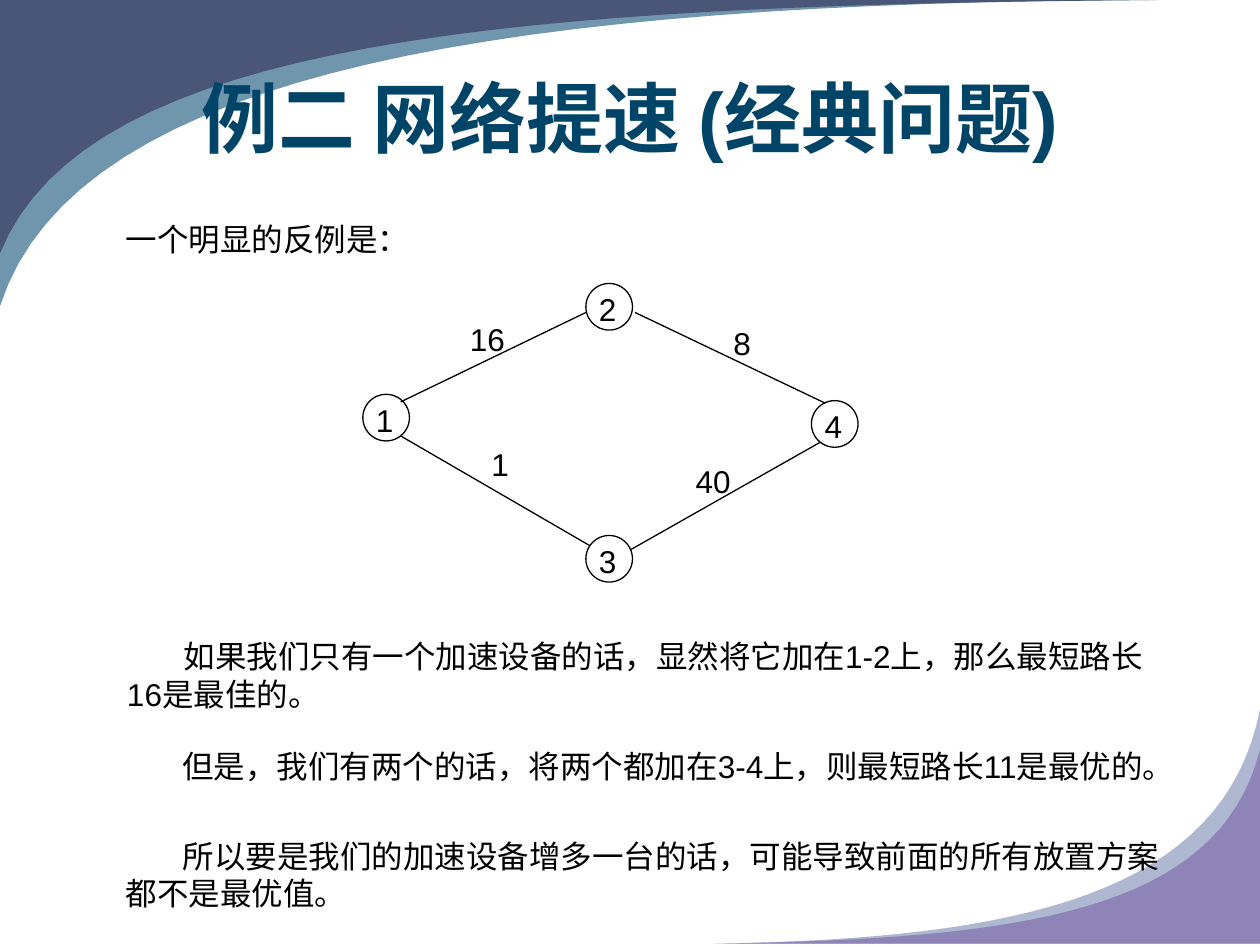
from lxml import etree
from pptx import Presentation
from pptx.dml.color import RGBColor
from pptx.enum import shapes, text
from pptx.oxml.ns import qn
from pptx.util import Inches, Pt

THEME = {
    "font": "Arial", "title_size": 44, "body_size": 18,
    "title": "004568", "ink": "000000", "paper": "FFFFFF",
    "teal": "7096AE", "navy": "495677", "mist": "AEB8D1", "violet": "8E84B7",
}

# Corner sweeps: colour, four Bezier control points, slide corner that closes the shape
SWEEPS = [
    ("teal", [(0, 2.43), (0.61, 0.53), (4.12, 0.02), (9.18, 0)], (0, 0)),
    ("navy", [(0, 2.01), (0.69, 0.3), (4.09, 0.04), (9.18, 0)], (0, 0)),
    ("mist", [(10, 5.63), (9.71, 7.11), (8.08, 7.45), (5.68, 7.49)], (10, 7.49)),
    ("violet", [(10, 5.95), (9.67, 7.26), (8.07, 7.45), (5.68, 7.49)], (10, 7.49)),
]
TITLE = "例二 网络提速 (经典问题)"
# Text, box, first-line indent
PARAGRAPHS = [
    ("一个明显的反例是：", (0.9, 1.7, 2.52, 0.4), 0),
    ("如果我们只有一个加速设备的话，显然将它加在1-2上，那么最短路长16是最佳的。",
     (0.91, 5.01, 8.27, 0.7), 0.45),
    ("但是，我们有两个的话，将两个都加在3-4上，则最短路长11是最优的。",
     (0.9, 5.88, 8.27, 0.7), 0.45),
    ("所以要是我们的加速设备增多一台的话，可能导致前面的所有放置方案都不是最优值。",
     (0.9, 6.59, 8.45, 0.7), 0.45),
]
NODE_SIZE = 0.37
NODES = [("2", 4.65, 2.25), ("4", 6.44, 3.18), ("3", 4.65, 4.25), ("1", 2.88, 3.13)]
WEIGHTS = [
    ("40", (5.52, 3.67, 0.78, 0.36)),
    ("8", (5.82, 2.57, 0.69, 0.4)),
    ("16", (3.73, 2.54, 0.66, 0.39)),
    ("1", (3.9, 3.53, 0.66, 0.41)),
]
EDGES = [
    (3.18, 3.19, 4.65, 2.48),
    (3.18, 3.46, 4.68, 4.33),
    (5.04, 2.48, 6.55, 3.2),
    (5.01, 4.36, 6.51, 3.51),
]


def color(name):
    return RGBColor.from_string(THEME[name])


def inches(values):
    return [Inches(v) for v in values]


def bezier(points, steps=32):
    """Points along a cubic Bezier curve."""
    for i in range(steps + 1):
        t = i / steps
        w = ((1 - t) ** 3, 3 * t * (1 - t) ** 2, 3 * t * t * (1 - t), t ** 3)
        yield tuple(sum(k * p[axis] for k, p in zip(w, points)) for axis in (0, 1))


def write(sp, content, insets, size="body_size", ink="ink", bold=False,
          align=text.PP_ALIGN.LEFT, anchor=text.MSO_ANCHOR.TOP, indent=0):
    tf = sp.text_frame
    tf.word_wrap = True
    tf.vertical_anchor = anchor
    tf.margin_left = tf.margin_right = Inches(insets[0])
    tf.margin_top = tf.margin_bottom = Inches(insets[1])
    p = tf.paragraphs[0]
    p.text = content
    p.alignment = align
    p.font.name = THEME["font"]
    p.font.size = Pt(THEME[size])
    p.font.bold = bold
    p.font.color.rgb = color(ink)
    if indent:
        p._p.get_or_add_pPr().set("indent", str(Inches(indent)))


def add_sweep(s, fill, points, corner):
    # Freeform points are rounded to whole units, so they are given in EMU
    start, *rest = [inches(pt) for pt in [*bezier(points), corner]]
    builder = s.shapes.build_freeform(*start)
    builder.add_line_segments(rest, close=True)
    sp = builder.convert_to_shape()
    sp.shadow.inherit = False
    sp.fill.solid()
    sp.fill.fore_color.rgb = color(fill)
    sp.line.fill.background()


def add_box(s, kind, box, content, line, insets):
    sp = s.shapes.add_shape(kind, *inches(box))
    sp.shadow.inherit = False
    sp.fill.solid()
    sp.fill.fore_color.rgb = color("paper")
    sp.line.color.rgb = color(line)
    sp.line.width = Pt(0.75)
    write(sp, content, insets)


def add_edge(s, ends):
    cn = s.shapes.add_connector(shapes.MSO_CONNECTOR.STRAIGHT, *inches(ends))
    cn.line.color.rgb = color("ink")
    cn.line.width = Pt(0.75)
    etree.SubElement(cn._element.spPr, qn("a:effectLst"))


def main():
    prs = Presentation()
    prs.slide_width, prs.slide_height = Inches(10), Inches(7.5)
    s = prs.slides.add_slide(prs.slide_layouts[6])

    for sweep in SWEEPS:
        add_sweep(s, *sweep)

    title = s.shapes.add_textbox(*inches((0.5, 0.3, 9, 1.25)))
    write(title, TITLE, (0.1, 0.05), "title_size", "title", True,
          text.PP_ALIGN.CENTER, text.MSO_ANCHOR.MIDDLE)

    for weight, box in WEIGHTS:
        add_box(s, shapes.MSO_SHAPE.RECTANGLE, box, weight, "paper", (0, 0))
    for label, x, y in NODES:
        add_box(s, shapes.MSO_SHAPE.OVAL, (x, y, NODE_SIZE, NODE_SIZE), label,
                "ink", (0.05, 0))
    for ends in EDGES:
        add_edge(s, ends)

    for content, box, indent in PARAGRAPHS:
        write(s.shapes.add_textbox(*inches(box)), content, (0.1, 0.05), indent=indent)

    prs.save("out.pptx")


if __name__ == "__main__":
    main()
